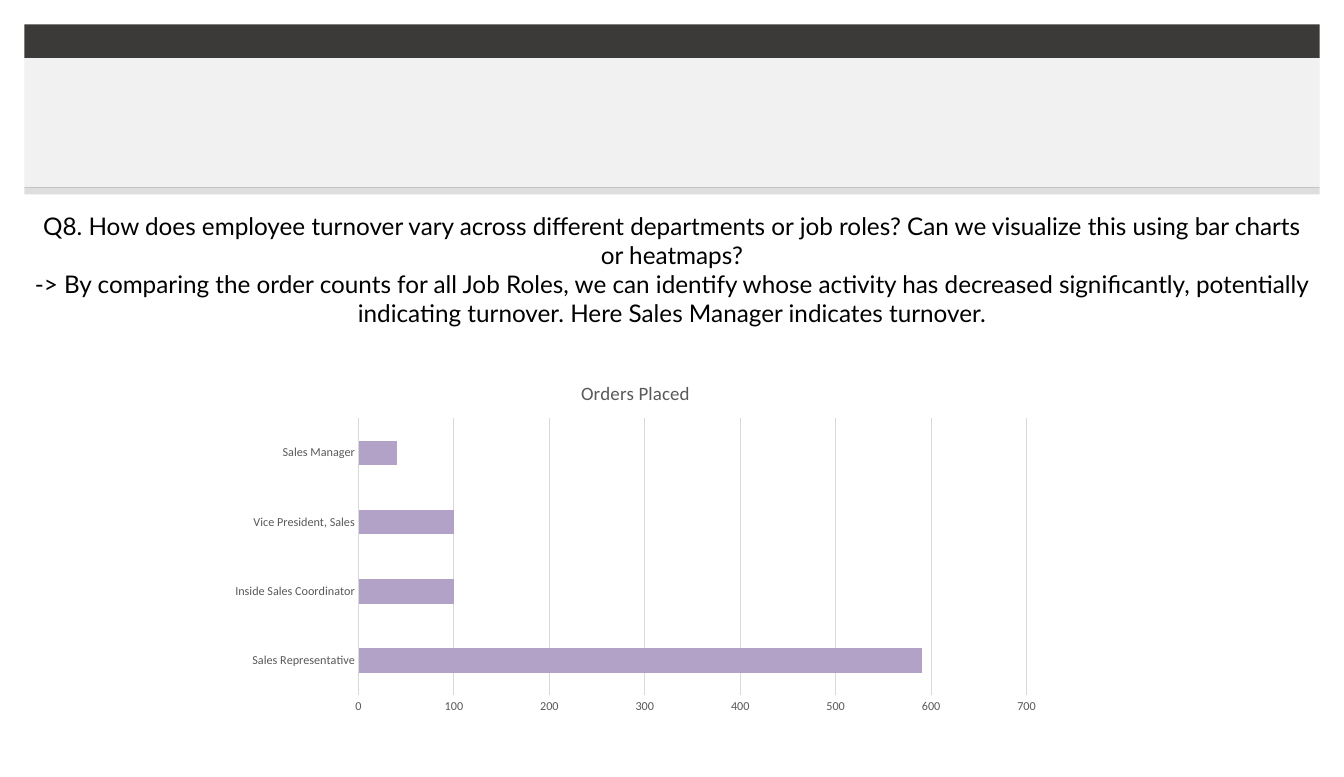
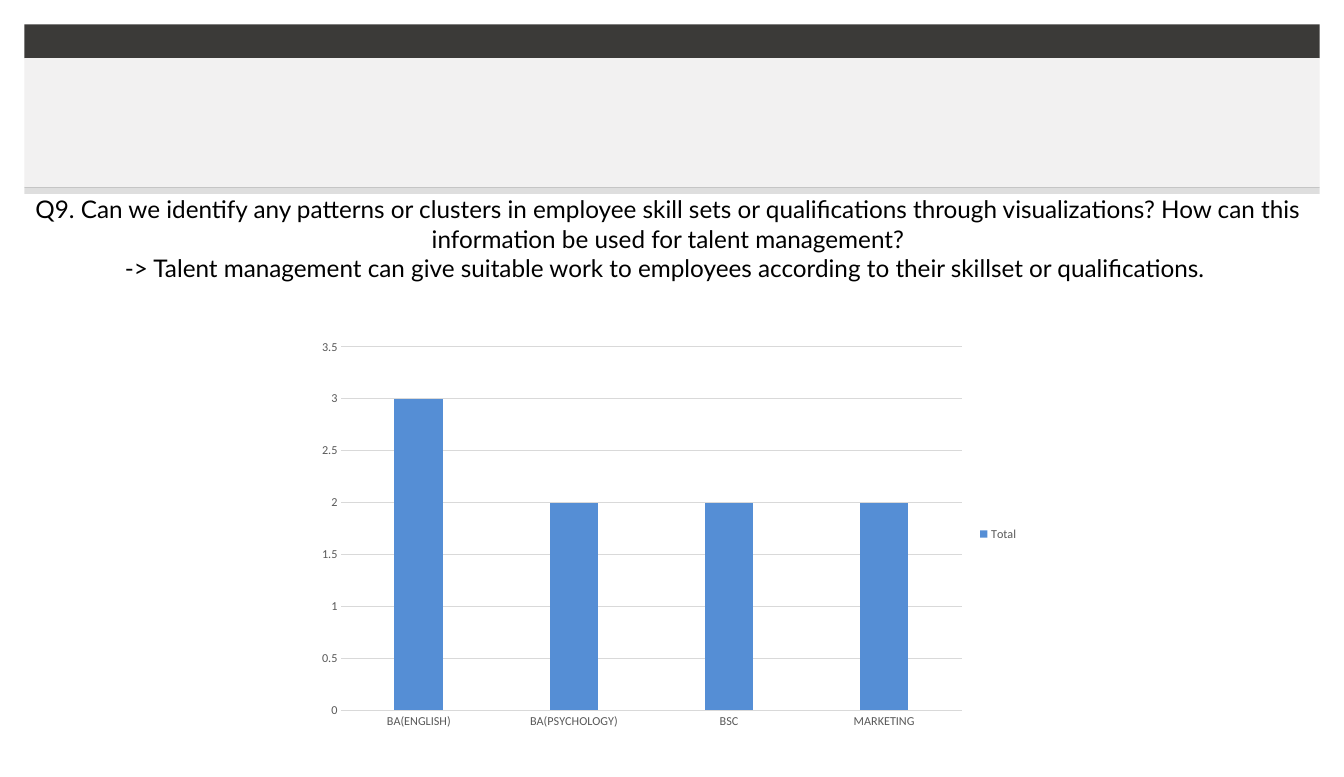
from pptx import Presentation
from pptx.chart.data import CategoryChartData
from pptx.dml.color import RGBColor
from pptx.enum.chart import XL_CHART_TYPE as CT, XL_LEGEND_POSITION as LegendPos, XL_TICK_MARK as Tick
from pptx.enum.shapes import MSO_SHAPE as Shape
from pptx.enum.text import MSO_ANCHOR as Anchor, PP_ALIGN as Align
from pptx.oxml import parse_xml
from pptx.oxml.ns import nsdecls, qn
from pptx.util import Pt

WHITE = RGBColor(0xFF, 0xFF, 0xFF)
BLACK = RGBColor(0, 0, 0)
CHARCOAL = RGBColor(0x3B, 0x3A, 0x38)
PALE = RGBColor(0xF2, 0xF1, 0xF1)
GREY = RGBColor(0x59, 0x59, 0x59)
GRID = RGBColor(0xD9, 0xD9, 0xD9)
PURPLE = RGBColor(0xB3, 0xA2, 0xC7)
BLUE = RGBColor(0x55, 0x8E, 0xD5)

HEADER_BOX = (18, 18, 960, 126)
# Header strips: offset from the top, height, colour, opacity in percent
STRIPS = [(0, 25.2, CHARCOAL, 100), (25.2, 0.3, BLACK, 11), (120.6, 0.7, BLACK, 11),
          (120.6, 5.4, BLACK, 13), (25.2, 95.4, PALE, 100)]

SLIDES = [
    dict(
        question_box=(24, 156, 948, 87),
        lines=["Q8. How does employee turnover vary across different departments or job roles? "
               "Can we visualize this using bar charts or heatmaps?",
               "-> By comparing the order counts for all Job Roles, we can identify whose activity "
               "has decreased significantly, potentially indicating turnover. "
               "Here Sales Manager indicates turnover."],
        chart_box=(162, 270, 618, 264),
        chart=dict(kind=CT.BAR_CLUSTERED, name="Orders Placed", color=PURPLE,
                   cats=["Sales Representative", "Inside Sales Coordinator",
                         "Vice President, Sales", "Sales Manager"],
                   values=[590, 100, 100, 40], title="Orders Placed",
                   plot=dict(gap_width=182),
                   scale=dict(minimum_scale=0, maximum_scale=700, major_unit=100))),
    dict(
        question_box=(12, 144, 966, 65.3),
        lines=["Q9. Can we identify any patterns or clusters in employee skill sets or qualifications "
               "through visualizations? How can this information be used for talent management?",
               "-> Talent management can give suitable work to employees according to their "
               "skillset or qualifications. "],
        chart_box=(228, 246, 534, 300),
        chart=dict(kind=CT.COLUMN_CLUSTERED, name="Total", color=BLUE,
                   cats=["BA(ENGLISH)", "BA(PSYCHOLOGY)", "BSC", "MARKETING"],
                   values=[3, 2, 2, 2], legend=True,
                   plot=dict(gap_width=219, overlap=-27),
                   scale=dict(minimum_scale=0, maximum_scale=3.5, major_unit=0.5))),
]


def set_all(obj, values):
    for name, value in values.items():
        setattr(obj, name, value)


def set_font(font, size, color, name="Calibri"):
    set_all(font, dict(size=Pt(size), name=name, bold=False))
    font.color.rgb = color


def set_line(line, color, width=0.75):
    line.color.rgb = color
    line.width = Pt(width)


def set_fill(fill, color):
    fill.solid()
    fill.fore_color.rgb = color


def add_header(s, box):
    x, y, w, _ = box
    for dy, h, color, opacity in STRIPS:
        sp = s.shapes.add_shape(Shape.RECTANGLE, Pt(x), Pt(y + dy), Pt(w), Pt(h))
        sp.shadow.inherit = False
        set_fill(sp.fill, color)
        sp.line.fill.background()
        if opacity < 100:
            clr = sp._element.spPr.find(qn("a:solidFill")).find(qn("a:srgbClr"))
            clr.append(parse_xml(f'<a:alpha {nsdecls("a")} val="{opacity * 1000}"/>'))


def add_question(s, box, lines):
    """One-cell table holding the question and its answer."""
    cell = s.shapes.add_table(1, 1, *map(Pt, box)).table.cell(0, 0)
    set_all(cell, dict(margin_left=Pt(0.7), margin_right=Pt(0.7), margin_top=Pt(0.5),
                       margin_bottom=0, vertical_anchor=Anchor.BOTTOM))
    # Borders come before the fill in the cell properties
    tc_pr = cell._tc.get_or_add_tcPr()
    for side in ("lnL", "lnR", "lnT", "lnB"):
        tc_pr.append(parse_xml(
            f'<a:{side} {nsdecls("a")} w="{Pt(1)}"><a:solidFill>'
            f'<a:srgbClr val="{WHITE}"/></a:solidFill></a:{side}>'))
    set_fill(cell.fill, WHITE)
    # Text
    tf = cell.text_frame
    tf.text = "\n".join(lines)
    for p in tf.paragraphs:
        p.alignment = Align.CENTER
        set_font(p.runs[0].font, 18, BLACK, "Lato")


def add_bars(s, box, kind, name, color, cats, values, plot, scale, title=None, legend=False):
    data = CategoryChartData()
    data.categories = cats
    data.add_series(name, values)
    chart = s.shapes.add_chart(kind, *map(Pt, box), data).chart
    set_font(chart.font, 10, BLACK)

    # Title and legend
    chart.has_title = bool(title)
    if title:
        tf = chart.chart_title.text_frame
        tf.text = title
        set_font(tf.paragraphs[0].runs[0].font, 14, GREY)
        chart.chart_title.include_in_layout = False
    chart.has_legend = legend
    if legend:
        set_all(chart.legend, dict(position=LegendPos.RIGHT, include_in_layout=False))
        set_font(chart.legend.font, 9, GREY)

    # Bars
    set_all(chart.plots[0], dict(plot, vary_by_categories=False))
    set_fill(chart.plots[0].series[0].format.fill, color)

    # Axes
    for axis in (chart.category_axis, chart.value_axis):
        set_all(axis, dict(major_tick_mark=Tick.NONE, minor_tick_mark=Tick.NONE))
        set_font(axis.tick_labels.font, 9, GREY)
    chart.category_axis.has_major_gridlines = False
    set_line(chart.category_axis.format.line, GRID)
    set_all(chart.value_axis, scale)
    chart.value_axis.format.line.fill.background()
    set_line(chart.value_axis.major_gridlines.format.line, GRID)


def add_question_slide(prs, question_box, lines, chart_box, chart):
    s = prs.slides.add_slide(prs.slide_layouts[6])
    add_header(s, HEADER_BOX)
    add_question(s, question_box, lines)
    add_bars(s, chart_box, **chart)


def main():
    prs = Presentation()
    set_all(prs, dict(slide_width=Pt(996), slide_height=Pt(576)))
    for content in SLIDES:
        add_question_slide(prs, **content)
    prs.save("out.pptx")


if __name__ == "__main__":
    main()
